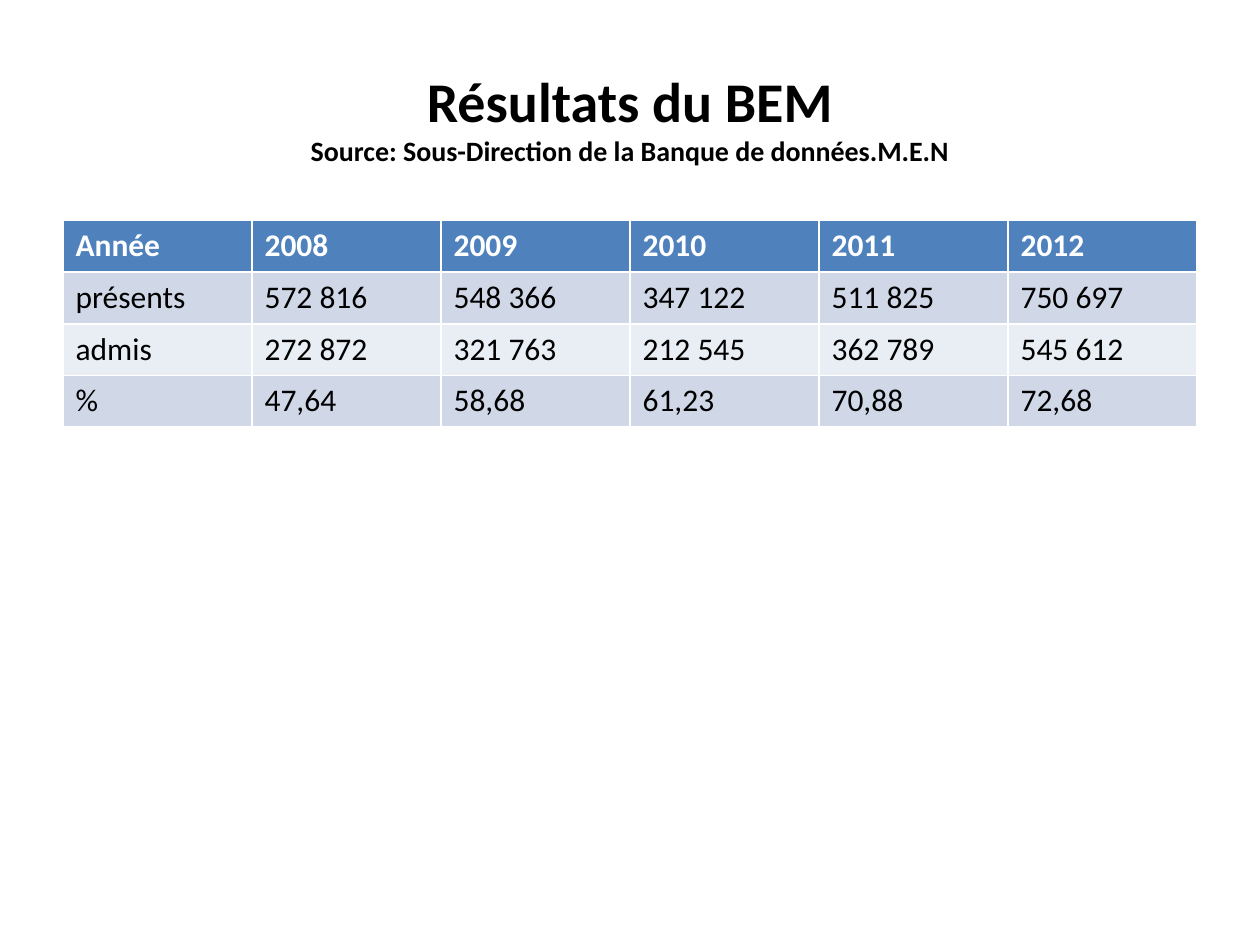
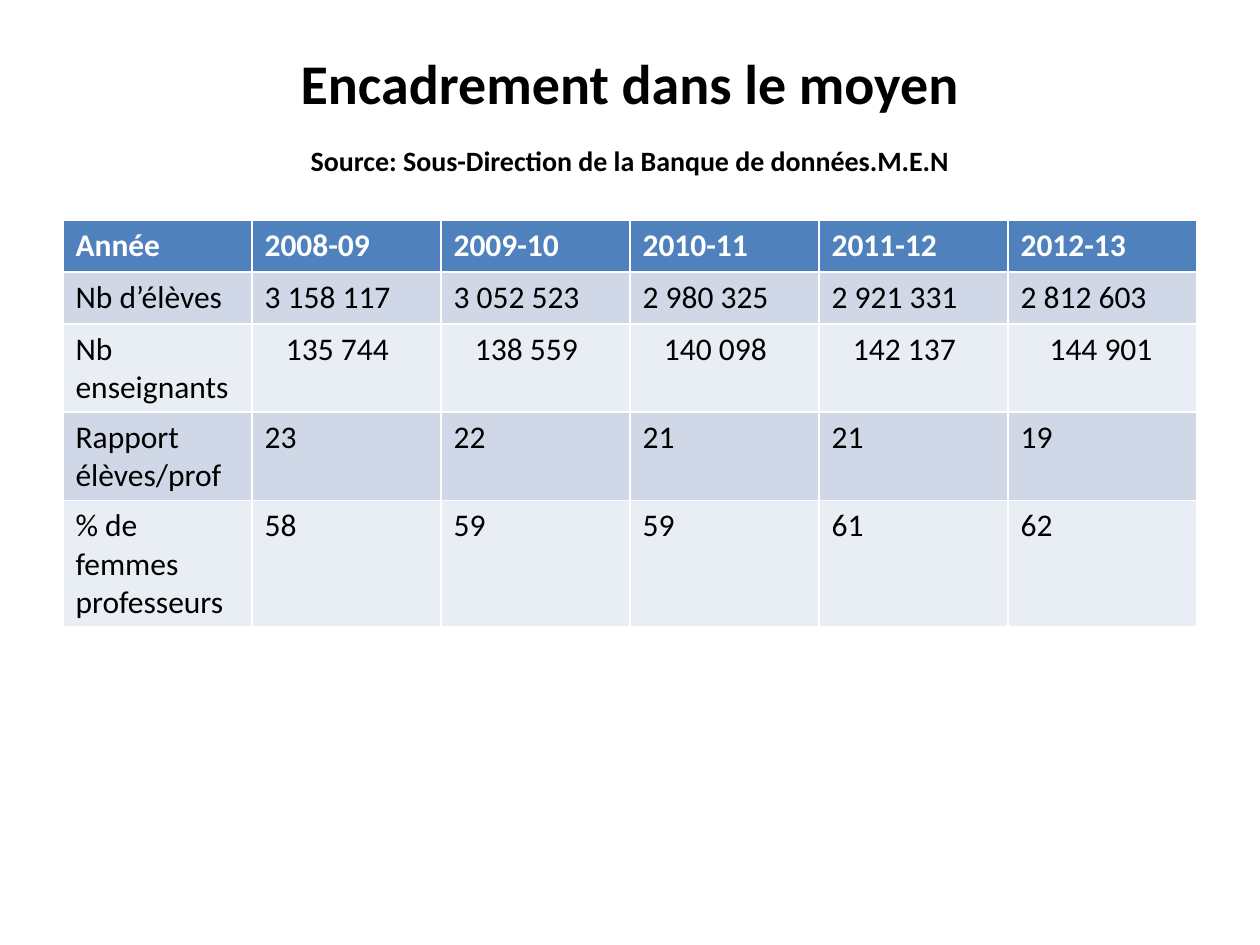
"""Build two slides of tables on middle school results and staffing."""
from pptx import Presentation
from pptx.dml.color import RGBColor
from pptx.enum.text import MSO_ANCHOR, PP_ALIGN
from pptx.util import Inches, Pt

CENTER = PP_ALIGN.CENTER
MIDDLE = MSO_ANCHOR.MIDDLE

THEME = {
    "font": "Calibri",
    "title_size": 32,
    "source_size": 16,
    "table_size": 18,
    "text": "000000",
    "header_text": "FFFFFF",
    "header_fill": "4F81BD",
    "bands": ["D0D8E8", "E9EDF4"],
}
SOURCE = "Source: Sous-Direction de la Banque de données.M.E.N"
LEFT, WIDTH = 0.5, 9
TITLE_TOP, TITLE_HEIGHT = 0.3, 1.25
TABLE_TOP, ROW_HEIGHT = 1.75, 0.41

PAGES = [
    {
        "title": "Résultats du BEM",
        "source_gap": 0,
        "bottom_inset": 0.05,
        "rows": [
            ["Année", "2008", "2009", "2010", "2011", "2012"],
            ["présents", "572 816", "548 366", "347 122", "511 825", "750 697"],
            ["admis", "272 872", "321 763", "212 545", "362 789", "545 612"],
            ["%", "47,64", "58,68", "61,23", "70,88", "72,68"],
        ],
        "insets": {},
    },
    {
        "title": "Encadrement dans le moyen",
        "source_gap": 15.5,
        "bottom_inset": 0.11,
        "rows": [
            ["Année", "2008-09", "2009-10", "2010-11", "2011-12", "2012-13"],
            ["Nb d’élèves", "3 158 117", "3 052 523", "2 980 325", "2 921 331", "2 812 603"],
            ["Nb enseignants", "135 744", "138 559", "140 098", "142 137", "144 901"],
            ["Rapport élèves/prof", "23", "22", "21", "21", "19"],
            ["% de femmes professeurs", "58", "59", "59", "61", "62"],
        ],
        "insets": {2: [0.1, 0.27, 0.27, 0.27, 0.27, 0.33]},
    },
]


def write(para, text, size, color, bold):
    span = para.add_run()
    span.text = text
    values = {"name": THEME["font"], "size": Pt(size), "bold": bold}
    for name, value in values.items():
        setattr(span.font, name, value)
    span.font.color.rgb = RGBColor.from_string(color)


deck = Presentation()
deck.slide_width, deck.slide_height = Inches(10), Inches(7.5)

for content in PAGES:
    page = deck.slides.add_slide(deck.slide_layouts[6])

    box = page.shapes.add_textbox(
        Inches(LEFT), Inches(TITLE_TOP), Inches(WIDTH), Inches(TITLE_HEIGHT)
    )
    frame = box.text_frame
    frame_format = {
        "word_wrap": True,
        "vertical_anchor": MIDDLE,
        "margin_bottom": Inches(content["bottom_inset"]),
    }
    for name, value in frame_format.items():
        setattr(frame, name, value)
    title, source = frame.paragraphs[0], frame.add_paragraph()
    title.alignment = source.alignment = CENTER
    source.space_before = Pt(content["source_gap"])
    write(title, content["title"], THEME["title_size"], THEME["text"], True)
    write(source, SOURCE, THEME["source_size"], THEME["text"], True)

    rows = content["rows"]
    table = page.shapes.add_table(
        len(rows), len(rows[0]), Inches(LEFT), Inches(TABLE_TOP),
        Inches(WIDTH), Inches(ROW_HEIGHT * len(rows)),
    ).table
    for row_index, row in enumerate(rows):
        header = row_index == 0
        fill = THEME["header_fill"] if header else THEME["bands"][(row_index - 1) % 2]
        color = THEME["header_text"] if header else THEME["text"]
        insets = content["insets"].get(row_index, [0.1] * len(row))
        for column_index, (text, inset) in enumerate(zip(row, insets)):
            cell = table.cell(row_index, column_index)
            cell.fill.solid()
            cell.fill.fore_color.rgb = RGBColor.from_string(fill)
            cell.margin_left = Inches(inset)
            write(cell.text_frame.paragraphs[0], text, THEME["table_size"], color, header)

deck.save("out.pptx")
